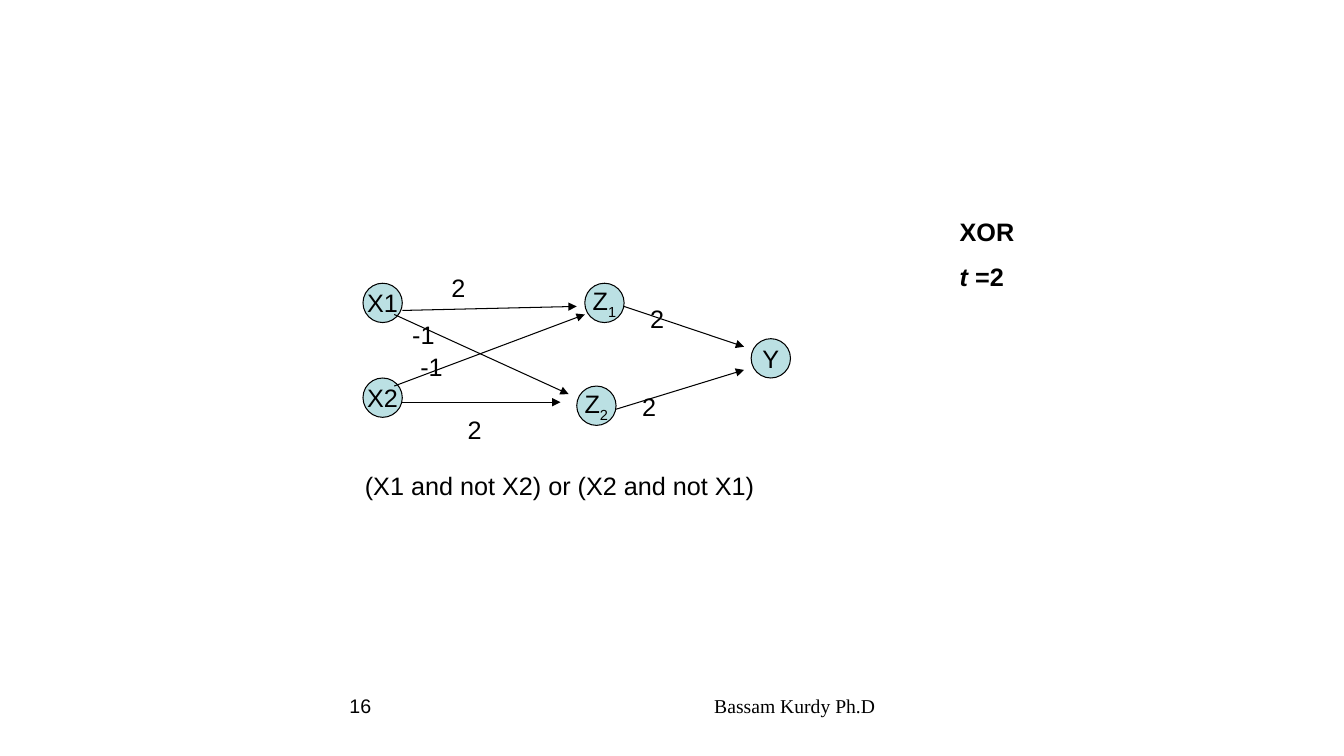
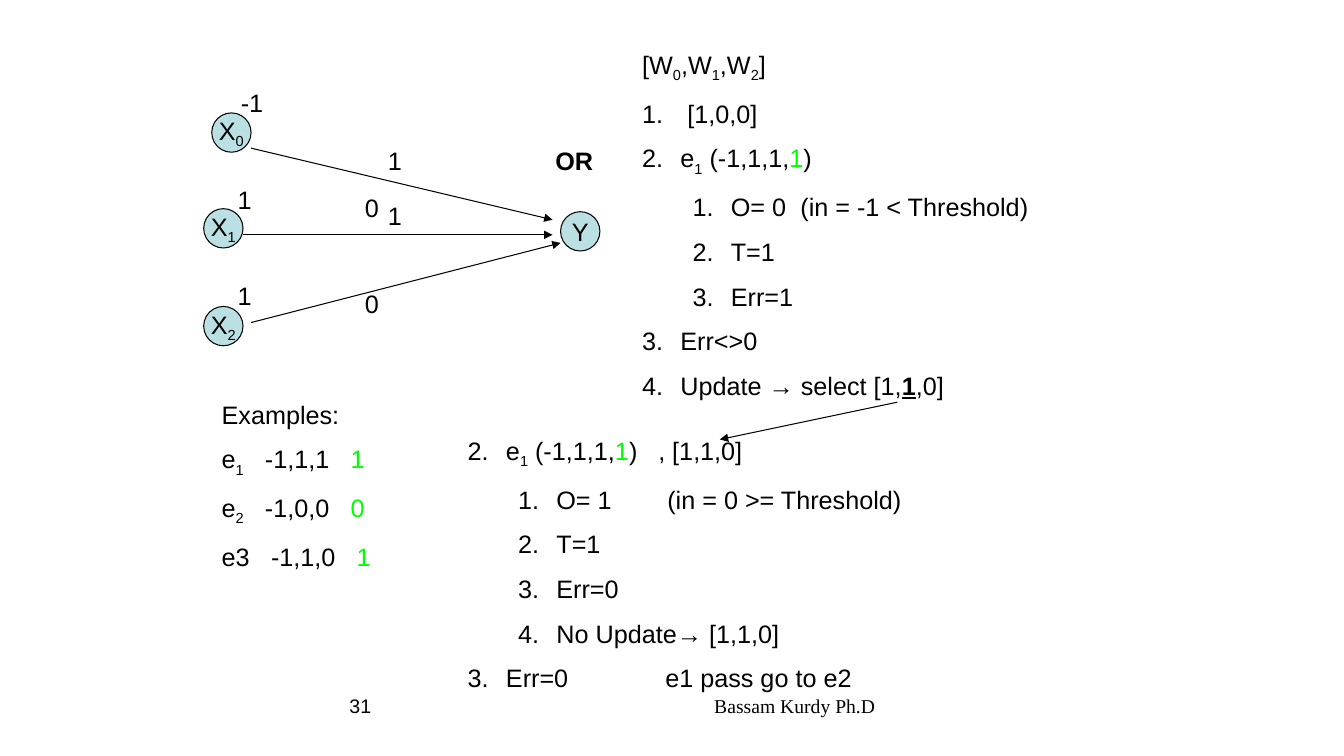
from dataclasses import dataclass

from lxml import etree
from pptx import Presentation
from pptx.dml.color import RGBColor
from pptx.enum.shapes import MSO_CONNECTOR, MSO_SHAPE
from pptx.enum.text import MSO_ANCHOR, PP_ALIGN
from pptx.oxml.ns import qn
from pptx.util import Inches, Pt

BLACK = RGBColor(0x00, 0x00, 0x00)
GREEN = RGBColor(0x00, 0xFF, 0x00)
NODE_FILL = RGBColor(0xBB, 0xE0, 0xE3)
BODY_FONT = "Arial"
FOOTER_FONT = "Times New Roman"
BODY_SIZE = Pt(18)
FOOTER_SIZE = Pt(14)
PARAGRAPH_GAP = Pt(10.3)
LINE_WIDTH = Pt(0.75)
NODE_SIZE = 0.39
LABEL_HEIGHT = 0.4
HANGING_INDENT = 0.38
LEVEL_INDENT = 0.5

ELLIPSE = MSO_SHAPE.OVAL
STRAIGHT = MSO_CONNECTOR.STRAIGHT
CENTER, RIGHT = PP_ALIGN.CENTER, PP_ALIGN.RIGHT
MIDDLE = MSO_ANCHOR.MIDDLE
BLANK_LAYOUT = 6


@dataclass
class Line:
    """A paragraph: runs are (text, styles) pairs; level None means no indent."""
    runs: list
    level: int | None = None
    start: int | None = None
    tabs: tuple = ()


def plain(text, **options):
    return Line([(text, "")], **options)


def example_runs(index):
    """Opening of a training example, the name with its subscript."""
    return [("e", ""), (index, "sub")]


class Deck:
    def __init__(self):
        self.presentation = Presentation()
        self.presentation.slide_width = Inches(13.33)
        self.presentation.slide_height = Inches(7.5)
        self.slide = None

    def new_slide(self, number):
        layout = self.presentation.slide_layouts[BLANK_LAYOUT]
        self.slide = self.presentation.slides.add_slide(layout)
        self.footer(4.56, 4.22, "Bassam Kurdy Ph.D", FOOTER_FONT)
        self.footer(0.67, 3.11, number, BODY_FONT)

    def footer(self, left, width, text, font):
        box = self.text(left, 6.83, width, 0.52, plain(text))
        paragraph = box.text_frame.paragraphs[0]
        paragraph.alignment = RIGHT
        paragraph.font.name, paragraph.font.size = font, FOOTER_SIZE

    def fill_paragraph(self, paragraph, line):
        properties = paragraph._p.get_or_add_pPr()
        if line.level is not None:
            indent = HANGING_INDENT + LEVEL_INDENT * line.level
            properties.set("marL", str(Inches(indent)))
            properties.set("indent", str(-Inches(HANGING_INDENT)))
            paragraph.level = line.level
        if line.start:
            etree.SubElement(properties, qn("a:buAutoNum"),
                             type="arabicPeriod", startAt=str(line.start))
        if line.tabs:
            tab_list = etree.SubElement(properties, qn("a:tabLst"))
            for position in line.tabs:
                etree.SubElement(tab_list, qn("a:tab"),
                                 pos=str(Inches(position)), algn="l")
        font = paragraph.font
        font.name, font.size = BODY_FONT, BODY_SIZE
        font.color.rgb = BLACK
        for text, styles in line.runs:
            run = paragraph.add_run()
            run.text = text
            if "sub" in styles:
                run._r.get_or_add_rPr().set("baseline", "-25000")
            if "green" in styles:
                run.font.color.rgb = GREEN
            if "bold" in styles:
                run.font.bold = True
            if "italic" in styles:
                run.font.italic = True
            if "underline" in styles:
                run.font.underline = True

    def text(self, left, top, width, height, *lines):
        box = self.slide.shapes.add_textbox(
            Inches(left), Inches(top), Inches(width), Inches(height))
        frame = box.text_frame
        frame.word_wrap = True
        for index, line in enumerate(lines):
            paragraph = frame.add_paragraph() if index else frame.paragraphs[0]
            paragraph.space_before = PARAGRAPH_GAP
            self.fill_paragraph(paragraph, line)
        return box

    def label(self, left, top, text, width=0.63):
        self.text(left, top, width, LABEL_HEIGHT, plain(text))

    def node(self, left, top, name, subscript=""):
        shape = self.slide.shapes.add_shape(
            ELLIPSE, Inches(left), Inches(top), Inches(NODE_SIZE), Inches(NODE_SIZE))
        shape.shadow.inherit = False
        shape.fill.solid()
        shape.fill.fore_color.rgb = NODE_FILL
        shape.line.color.rgb = BLACK
        shape.line.width = LINE_WIDTH
        frame = shape.text_frame
        frame.word_wrap = False
        frame.vertical_anchor = MIDDLE
        paragraph = frame.paragraphs[0]
        paragraph.alignment = CENTER
        runs = [(name, "")] + ([(subscript, "sub")] if subscript else [])
        self.fill_paragraph(paragraph, Line(runs))

    def arrow(self, *ends):
        connector = self.slide.shapes.add_connector(
            STRAIGHT, *(Inches(value) for value in ends))
        connector.line.color.rgb = BLACK
        connector.line.width = LINE_WIDTH
        properties = connector._element.spPr
        etree.SubElement(properties.find(qn("a:ln")), qn("a:tailEnd"),
                         type="triangle")
        etree.SubElement(properties, qn("a:effectLst"))


def build_xor_slide(deck):
    deck.new_slide("16")
    for node in ((3.6, 2.81, "X1"), (3.6, 3.75, "X2"), (5.8, 2.81, "Z", "1"),
                 (5.72, 3.83, "Z", "2"), (7.45, 3.36, "Y")):
        deck.node(*node)
    for ends in ((3.99, 3.08, 5.72, 3.04), (3.91, 3.12, 5.64, 3.91),
                 (3.91, 3.83, 5.8, 3.12), (3.99, 3.99, 5.56, 3.99),
                 (6.19, 3.04, 7.38, 3.44), (6.11, 4.06, 7.38, 3.67)):
        deck.arrow(*ends)
    for weight in ((4.38, 2.65, "2"), (4.54, 4.06, "2"), (4.07, 3.44, "-1"),
                   (3.99, 3.12, "-1"), (6.35, 2.96, "2"), (6.27, 3.83, "2")):
        deck.label(*weight)
    deck.label(3.52, 4.62, "(X1 and not X2) or (X2 and not X1)", width=4.88)
    deck.text(9.42, 2.1, 1.18, 0.85, Line([("XOR", "bold")]),
              Line([("t", "bold italic"), (" =2", "bold")]))


def build_or_slide(deck):
    deck.new_slide("31")
    for node in ((2.1, 1.12, "X", "0"), (2.02, 2.07, "X", "1"),
                 (2.02, 3.04, "X", "2"), (5.56, 2.1, "Y")):
        deck.node(*node)
    for ends in ((2.49, 1.47, 5.48, 2.18), (2.41, 2.33, 5.48, 2.33),
                 (2.49, 3.2, 5.56, 2.41), (8.9, 3.99, 7.14, 4.36)):
        deck.arrow(*ends)
    for value in ((2.29, 0.82, "-1"), (2.26, 1.78, "1"), (2.26, 2.73, "1"),
                  (3.75, 1.39, "1"), (3.75, 1.94, "1"),
                  (3.52, 1.86, "0"), (3.52, 2.81, "0")):
        deck.label(*value)
    deck.text(5.41, 1.39, 2.68, 0.85, Line([("OR", "bold")]))

    columns = (0.43, 1.28)
    deck.text(
        2.1, 3.91, 2.76, 1.76, plain("Examples:"),
        Line(example_runs("1") + [("\t-1,1,1\t", ""), ("1", "green")], tabs=columns),
        Line(example_runs("2") + [("\t-1,0,0\t", ""), ("0", "green")], tabs=columns),
        Line([("e3\t-1,1,0\t", ""), ("1", "green")], tabs=(0.49, 1.34)))

    first_example = example_runs("1") + [(" (-1,1,1,", ""), ("1", "green")]
    weights = [("[W", ""), ("0", "sub"), (",W", ""), ("1", "sub"),
               (",W", ""), ("2", "sub"), ("]", "")]
    deck.text(
        6.27, 0.44, 5.12, 4.49,
        Line(weights, level=0),
        plain(" [1,0,0]", level=0, start=1),
        Line(first_example + [(")", "")], level=0, start=1),
        plain("O= 0\t(in = -1 < Threshold)", level=1, start=1, tabs=(1.57,)),
        plain("T=1", level=1, start=1),
        plain("Err=1", level=1, start=1),
        plain("Err<>0", level=0, start=1),
        Line([("Update → select [1,", ""), ("1", "bold underline"), (",0]", "")],
             level=0, start=1))
    deck.text(
        4.54, 4.27, 4.72, 2.7,
        Line(first_example + [(")\t, [1,1,0]", "")], level=0, start=2, tabs=(1.89,)),
        plain("O= 1\t(in = 0 >= Threshold)", level=1, start=1, tabs=(1.98,)),
        plain("T=1", level=1, start=1),
        plain("Err=0", level=1, start=1),
        plain("No Update→ [1,1,0]", level=1, start=1),
        plain("Err=0\te1 pass go to e2", level=0, start=2, tabs=(1.96,)))


def main():
    deck = Deck()
    build_xor_slide(deck)
    build_or_slide(deck)
    deck.presentation.save("out.pptx")


if __name__ == "__main__":
    main()
